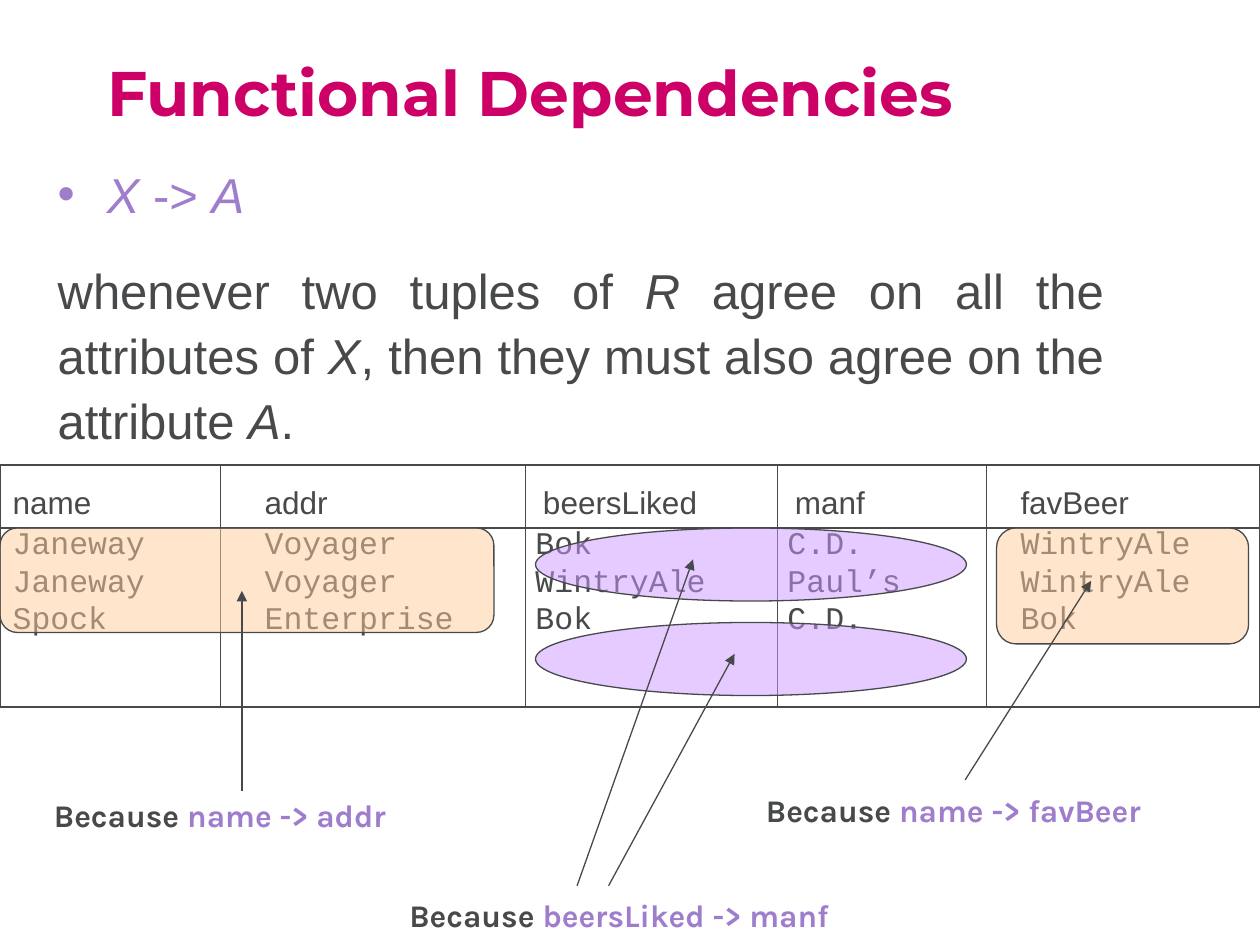
from lxml import etree
from pptx import Presentation, util as u
from pptx.dml.color import RGBColor
from pptx.enum import shapes, text
from pptx.oxml.ns import qn

INK, PINK, VIOLET = "47494B", "CC0066", "9F7DCD"
PEACH, LILAC = "FFCC99", "CC99FF"
WIDE, HIGH = 10, 7.5

TITLE = "Functional Dependencies"
# Runs are (text, format) pairs; a rule is written in violet.
RULE = [("X", {"italic": True}), (" -> ", {}), ("A", {"italic": True})]
MEANING = [("whenever two tuples of ", {}), ("R", {"italic": True}),
           (" agree on all the attributes of ", {}), ("X", {"italic": True}),
           (", then they must also agree on the attribute ", {}),
           ("A", {"italic": True}), (".", {})]

HEAD = ["name", "addr", "beersLiked", "manf", "favBeer"]
ROWS = [["Janeway", "Voyager", "Bok", "C.D.", "WintryAle"],
        ["Janeway", "Voyager", "WintryAle", "Paul’s", "WintryAle"],
        ["Spock", "Enterprise", "Bok", "C.D.", "Bok"],
        [""] * 5]
EDGES = [0, 1.75, 4.17, 6.17, 7.83, WIDE]
PADS = [0.1, 0.35, 0.08, 0.08, 0.27]
TOP, HEADROW, ROW, BOTTOM = 3.69, 0.5, 0.3, 5.61
BODY = TOP + HEADROW

# Each reason: marked areas, label place, label text, arrows (from, to).
ROUND, OVAL = shapes.MSO_SHAPE.ROUNDED_RECTANGLE, shapes.MSO_SHAPE.OVAL
REASONS = [
    {"marks": [(ROUND, PEACH, (0, BODY, 3.92, 0.83))],
     "at": (0.33, 6.27, 3.57, 0.5), "why": "name -> addr",
     "arrows": [((1.92, 6.28), (1.92, 4.69))]},
    {"marks": [(ROUND, PEACH, (7.91, BODY, 2, 0.92))],
     "at": (5.98, 6.23, 4.02, 0.5), "why": "name -> favBeer",
     "arrows": [((7.66, 6.19), (8.66, 4.61))]},
    {"marks": [(OVAL, LILAC, (4.25, BODY + step, 3.42, 0.58))
               for step in (0, 0.75)],
     "at": (3.15, 7.06, 4.41, 0.5), "why": "beersLiked -> manf",
     "arrows": [((4.58, 7.03), (5.5, 4.44)), ((4.83, 7.03), (5.83, 5.19))]},
]


def rgb(code):
    return RGBColor.from_string(code)


def inches(nums):
    return [u.Inches(n) for n in nums]


def write(para, words, size=18, face="Arial", color=INK, bold=False,
          italic=False):
    run = para.add_run()
    run.text = words
    font = run.font
    font.size, font.name, font.bold, font.italic = u.Pt(size), face, bold, italic
    font.color.rgb = rgb(color)


def add_box(slide, at):
    frame = slide.shapes.add_textbox(*inches(at)).text_frame
    frame.word_wrap = True
    return frame


def add_bullet(para, mark, color, indent):
    props = para._p.get_or_add_pPr()
    props.set("marL", str(u.Inches(indent)))
    props.set("indent", str(-u.Inches(indent)))
    tint = etree.SubElement(props, qn("a:buClr"))
    etree.SubElement(tint, qn("a:srgbClr"), val=color)
    etree.SubElement(props, qn("a:buFont"), typeface="Arial")
    etree.SubElement(props, qn("a:buChar"), char=mark)


def set_edges(cell, drawn):
    """Draw the named cell sides (of L, R, T, B) and clear the others."""
    props = cell._tc.get_or_add_tcPr()
    for spot, side in enumerate("LRTB"):
        line = etree.Element(qn("a:ln" + side), w=str(u.Pt(0.75)))
        if side in drawn:
            fill = etree.SubElement(line, qn("a:solidFill"))
            etree.SubElement(fill, qn("a:srgbClr"), val=INK)
        else:
            etree.SubElement(line, qn("a:noFill"))
        props.insert(spot, line)


def add_grid(slide):
    rows = [HEAD] + ROWS
    highs = [HEADROW] + [ROW] * 3
    highs.append(BOTTOM - TOP - sum(highs))
    at = inches((0, TOP, WIDE, BOTTOM - TOP))
    table = slide.shapes.add_table(len(rows), len(HEAD), *at).table
    table.first_row = table.horz_banding = False
    for col, left, right in zip(table.columns, EDGES, EDGES[1:]):
        col.width = u.Inches(right - left)
    for r, (high, words) in enumerate(zip(highs, rows)):
        table.rows[r].height = u.Inches(high)
        for c, word in enumerate(words):
            cell = table.cell(r, c)
            cell.fill.background()
            nudge = 0.06 if r == 0 and c in (2, 3) else 0
            cell.margin_left = u.Inches(PADS[c] + nudge)
            cell.margin_right = cell.margin_top = 0
            cell.margin_bottom = u.Inches(0.05 if r == 0 else 0)
            cell.vertical_anchor = (text.MSO_ANCHOR.BOTTOM if r == 0
                                    else text.MSO_ANCHOR.TOP)
            write(cell.text_frame.paragraphs[0], word,
                  face="Arial" if r == 0 else "Courier New")
            sides = "LR"
            if r == 0:
                sides += "TB"
            elif r == 1:
                sides += "T"
            elif r == len(rows) - 1:
                sides += "B"
            set_edges(cell, sides)


def add_mark(slide, kind, color, at):
    shape = slide.shapes.add_shape(kind, *inches(at))
    shape.shadow.inherit = False
    shape.fill.solid()
    shape.fill.fore_color.rgb = rgb(color)
    tint = shape._element.spPr.find(".//" + qn("a:srgbClr"))
    etree.SubElement(tint, qn("a:alpha"), val="50000")
    shape.line.color.rgb = rgb(INK)
    shape.line.width = u.Pt(0.75)


def add_arrow(slide, start, end):
    line = slide.shapes.add_connector(shapes.MSO_CONNECTOR.STRAIGHT,
                                      *inches(start + end))
    line.line.color.rgb = rgb(INK)
    line.line.width = u.Pt(0.75)
    etree.SubElement(line.line._get_or_add_ln(), qn("a:tailEnd"),
                     type="triangle")
    etree.SubElement(line._element.spPr, qn("a:effectLst"))


def main():
    deck = Presentation()
    deck.slide_width, deck.slide_height = inches((WIDE, HIGH))
    slide = deck.slides.add_slide(deck.slide_layouts[5])

    title = slide.shapes.title
    title.left, title.top, title.width, title.height = inches(
        (0.75, 0.23, 8.5, 0.85))
    frame = title.text_frame
    frame.auto_size = text.MSO_AUTO_SIZE.NONE
    frame.vertical_anchor = text.MSO_ANCHOR.BOTTOM
    para = frame.paragraphs[0]
    para.alignment, para.line_spacing = text.PP_ALIGN.LEFT, 0.9
    write(para, TITLE, size=36, face="Montserrat", color=PINK, bold=True)

    frame = add_box(slide, (0.36, 1.21, 8.5, 2.45))
    paras = [frame.paragraphs[0], frame.add_paragraph()]
    for para, runs, color in zip(paras, (RULE, MEANING), (VIOLET, INK)):
        para.alignment, para.line_spacing = text.PP_ALIGN.JUSTIFY, 1.1
        para.space_before = u.Pt(18)
        for words, form in runs:
            write(para, words, size=28, color=color, **form)
    add_bullet(paras[0], "•", VIOLET, 0.39)

    add_grid(slide)
    for item in REASONS:
        for mark in item["marks"]:
            add_mark(slide, *mark)
        para = add_box(slide, item["at"]).paragraphs[0]
        write(para, "Because ", face="Karla", bold=True)
        write(para, item["why"], face="Karla", color=VIOLET, bold=True)
        for start, end in item["arrows"]:
            add_arrow(slide, start, end)

    deck.save("out.pptx")


if __name__ == "__main__":
    main()
